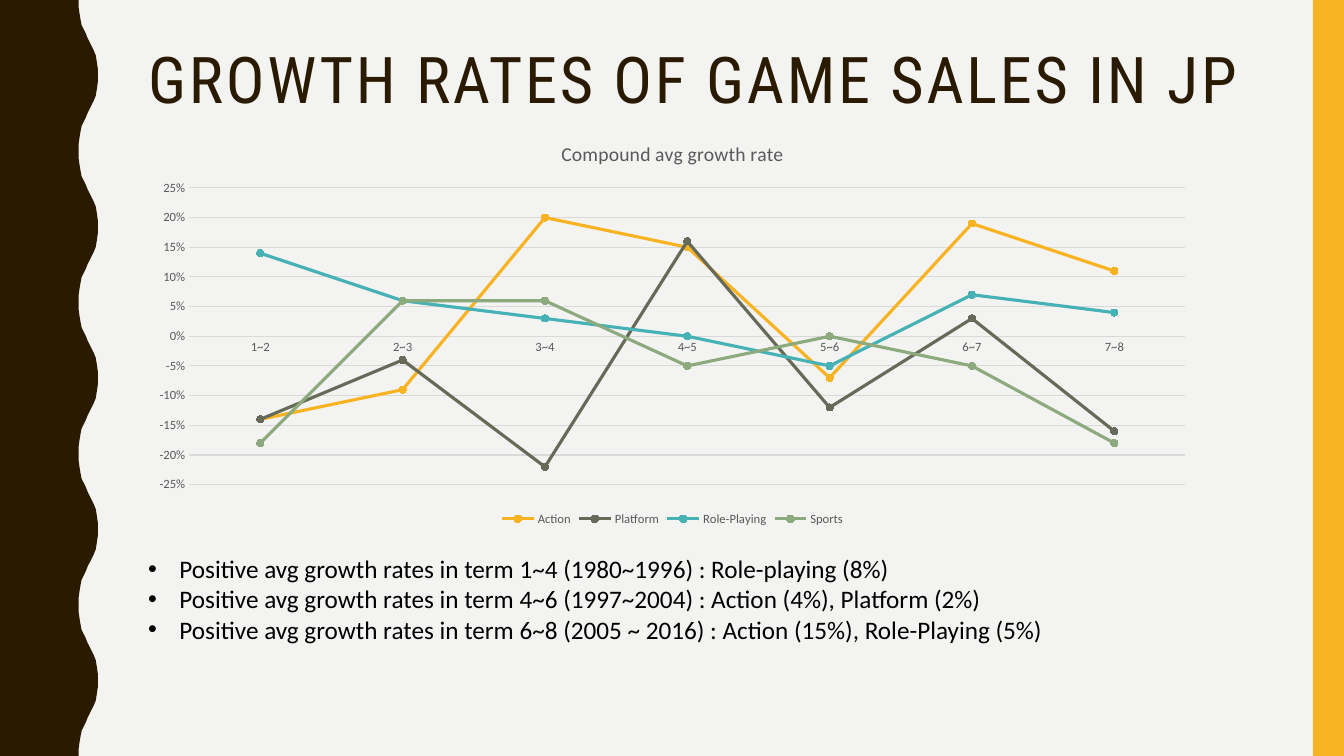
"""Build the slide on growth rates of game sales in JP."""
from pptx import Presentation
from pptx.chart.data import CategoryChartData
from pptx.dml.color import RGBColor
from pptx.enum.chart import XL_CHART_TYPE, XL_LEGEND_POSITION, XL_MARKER_STYLE, XL_TICK_MARK
from pptx.enum.shapes import MSO_SHAPE
from pptx.enum.text import MSO_ANCHOR, MSO_AUTO_SIZE, PP_ALIGN
from pptx.oxml.xmlchemy import OxmlElement
from pptx.util import Pt

PX = 9144
BACKGROUND = RGBColor(0xF3, 0xF3, 0xF2)
BROWN = RGBColor(0x2A, 0x1A, 0x00)
YELLOW = RGBColor(0xF8, 0xB3, 0x23)
OLIVE = RGBColor(0x65, 0x6A, 0x59)
TEAL = RGBColor(0x46, 0xB2, 0xB5)
GREEN = RGBColor(0x8C, 0xAA, 0x7E)
BLACK = RGBColor(0x00, 0x00, 0x00)
GREY = RGBColor(0x59, 0x59, 0x59)
GRID = RGBColor(0xD9, 0xD9, 0xD9)

TERMS = ["1~2", "2~3", "3~4", "4~5", "5~6", "6~7", "7~8"]
GENRES = [
    ("Action", YELLOW, [-0.14, -0.09, 0.2, 0.15, -0.07, 0.19, 0.11]),
    ("Platform", OLIVE, [-0.14, -0.04, -0.22, 0.16, -0.12, 0.03, -0.16]),
    ("Role-Playing", TEAL, [0.14, 0.06, 0.03, 0, -0.05, 0.07, 0.04]),
    ("Sports", GREEN, [-0.18, 0.06, 0.06, -0.05, 0, -0.05, -0.18]),
]
FINDINGS = [
    "Positive avg growth rates in term 1~4 (1980~1996) : Role-playing (8%)",
    "Positive avg growth rates in term 4~6 (1997~2004) : Action (4%), Platform (2%)",
    "Positive avg growth rates in term 6~8 (2005 ~ 2016) : Action (15%), Role-Playing (5%)",
]
HALF_WAVE = [(78, 0), (78, 7), (79, 14), (80, 20), (81, 25), (83, 29), (85, 33), (87, 38),
             (89, 42), (91, 46), (93, 50), (95, 55), (96, 61), (97, 68), (97, 75)]
WAVE_HEIGHT = 150


def place(shape, left, top, width, height):
    shape.left, shape.top = left * PX, top * PX
    shape.width, shape.height = width * PX, height * PX


def style_font(font, name, size, color):
    font.name, font.size, font.bold = name, Pt(size), False
    font.color.rgb = color


prs = Presentation()
prs.slide_width, prs.slide_height = 1333 * PX, 750 * PX
s = prs.slides.add_slide(prs.slide_layouts[1])
s.background.fill.solid()
s.background.fill.fore_color.rgb = BACKGROUND

wave = HALF_WAVE + [(x, WAVE_HEIGHT - y) for x, y in HALF_WAVE[-2::-1]]
edge = [(x, y + i * WAVE_HEIGHT) for i in range(5) for x, y in wave]
builder = s.shapes.build_freeform(0, 0, scale=PX)
builder.add_line_segments(edge + [(0, 750)], close=True)
wavy_band = builder.convert_to_shape()
side_bar = s.shapes.add_shape(MSO_SHAPE.RECTANGLE, 1302 * PX, 0, 31 * PX, 750 * PX)
for sp, color in ((wavy_band, BROWN), (side_bar, YELLOW)):
    sp.shadow.inherit = False
    sp.fill.solid()
    sp.fill.fore_color.rgb = color
    sp.line.fill.background()

title = s.shapes.title
place(title, 137, 42, 1136, 163)
tf = title.text_frame
tf.text = "GROWTH RATES OF GAME SALES IN JP"
tf.vertical_anchor = MSO_ANCHOR.TOP
tf.auto_size = MSO_AUTO_SIZE.NONE
p = tf.paragraphs[0]
p.alignment = PP_ALIGN.LEFT
p.line_spacing = 0.9
r = p.runs[0]
style_font(r.font, "Roboto Condensed", 46, BROWN)
r.font._element.set("spc", "200")

data = CategoryChartData(number_format="0%")
data.categories = TERMS
for name, color, rates in GENRES:
    data.add_series(name, rates)
chart = s.shapes.add_chart(XL_CHART_TYPE.LINE_MARKERS, 137 * PX, 122 * PX,
                           1060 * PX, 404 * PX, data).chart
style_font(chart.font, "Calibri", 10, BLACK)
chart.has_title = True
chart.chart_title.include_in_layout = False
tf = chart.chart_title.text_frame
tf.text = "Compound avg growth rate"
style_font(tf.paragraphs[0].runs[0].font, "Calibri", 14, GREY)
chart.has_legend = True
chart.legend.position = XL_LEGEND_POSITION.BOTTOM
chart.legend.include_in_layout = False
style_font(chart.legend.font, "Calibri", 9, GREY)

for axis in (chart.category_axis, chart.value_axis):
    axis.major_tick_mark = axis.minor_tick_mark = XL_TICK_MARK.NONE
    style_font(axis.tick_labels.font, "Calibri", 9, GREY)
value_axis = chart.value_axis
value_axis.minimum_scale, value_axis.maximum_scale, value_axis.major_unit = -0.25, 0.25, 0.05
value_axis.tick_labels.number_format = "0%"
value_axis.tick_labels.number_format_is_linked = False
value_axis.format.line.fill.background()
for line in (chart.category_axis.format.line, value_axis.major_gridlines.format.line):
    line.color.rgb = GRID
    line.width = Pt(0.75)

plot = chart.plots[0]
plot.vary_by_categories = False
for series, (name, color, rates) in zip(plot.series, GENRES):
    series.smooth = False
    series.format.line.color.rgb = color
    series.format.line.width = Pt(2.25)
    series.marker.style = XL_MARKER_STYLE.CIRCLE
    series.marker.size = 5
    series.marker.format.fill.solid()
    series.marker.format.fill.fore_color.rgb = color
    series.marker.format.line.color.rgb = color

body = s.placeholders[1]
place(body, 137, 544, 936, 101)
tf = body.text_frame
tf.text = "\n".join(FINDINGS)
tf.word_wrap = False
tf.auto_size = MSO_AUTO_SIZE.SHAPE_TO_FIT_TEXT
tf.vertical_anchor = MSO_ANCHOR.TOP
for p in tf.paragraphs:
    p.space_before = Pt(0)
    style_font(p.runs[0].font, "Calibri", 18, BLACK)
    pPr = p._p.get_or_add_pPr()
    pPr.set("marL", str(31 * PX))
    pPr.set("indent", str(-31 * PX))
    bullet = OxmlElement("a:buChar")
    bullet.set("char", "•")
    pPr.append(bullet)

prs.save("out.pptx")
